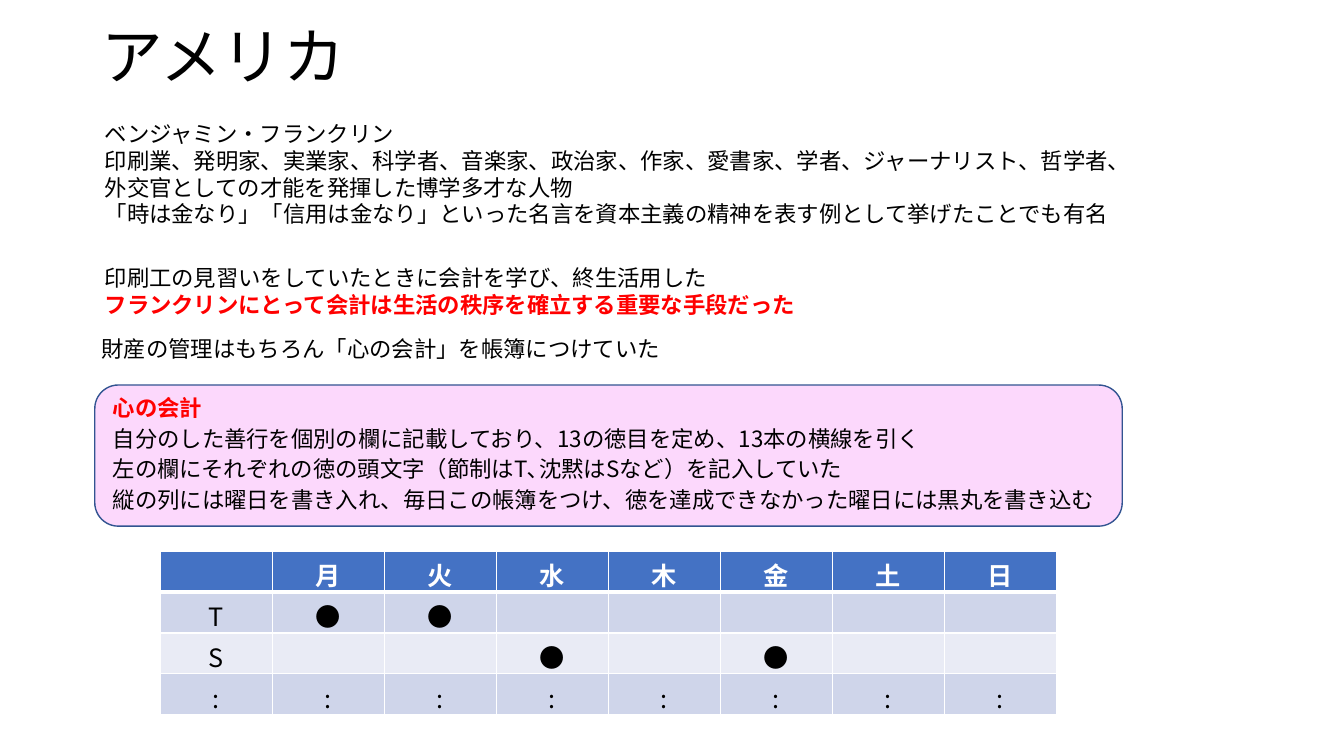
from dataclasses import dataclass

from lxml.etree import SubElement
from pptx import Presentation
from pptx.dml.color import RGBColor
from pptx.enum.shapes import MSO_SHAPE
from pptx.enum.text import MSO_ANCHOR, PP_ALIGN
from pptx.oxml.ns import qn
from pptx.slide import Slide
from pptx.table import _Cell
from pptx.text.text import _Paragraph
from pptx.util import Inches, Length, Pt

FONT = "Noto Sans CJK JP"
COLORS = {
    "text": "000000",
    "accent": "FF0000",
    "white": "FFFFFF",
    "panel": "FCD8FC",
    "panel_line": "325491",
    "header": "4472C4",
    "band_dark": "CFD5EA",
    "band_light": "E9EBF5",
}


@dataclass(frozen=True)
class Line:
    text: str
    color: str = "text"
    bold: bool = False


@dataclass(frozen=True)
class TextBlock:
    left: float
    top: float
    width: float
    height: float
    lines: tuple[Line, ...]
    size: int = 16
    spacing: float | Length | None = None
    anchor: MSO_ANCHOR = MSO_ANCHOR.TOP


TEXT_BLOCKS = (
    TextBlock(0.91, 0.03, 11.49, 1.12, (Line("アメリカ"),),
              size=44, spacing=0.9, anchor=MSO_ANCHOR.MIDDLE),
    TextBlock(0.94, 1.14, 10.45, 1.18, (
        Line("ベンジャミン・フランクリン"),
        Line("印刷業、発明家、実業家、科学者、音楽家、政治家、作家、愛書家、学者、"
             "ジャーナリスト、哲学者、外交官としての才能を発揮した博学多才な人物"),
        Line("「時は金なり」「信用は金なり」といった名言を"
             "資本主義の精神を表す例として挙げたことでも有名"),
    )),
    TextBlock(0.94, 2.57, 10.45, 0.64, (
        Line("印刷工の見習いをしていたときに会計を学び、終生活用した"),
        Line("フランクリンにとって会計は生活の秩序を確立する重要な手段だった",
             "accent", True),
    )),
    TextBlock(0.91, 3.28, 10.45, 0.37, (
        Line("財産の管理はもちろん「心の会計」を帳簿につけていた"),
    )),
    TextBlock(1.02, 3.82, 10.04, 1.34, (
        Line("心の会計", "accent", True),
        Line("自分のした善行を個別の欄に記載しており、13の徳目を定め、13本の横線を引く"),
        Line("左の欄にそれぞれの徳の頭文字（節制はT､沈黙はSなど）を記入していた"),
        Line("縦の列には曜日を書き入れ、毎日この帳簿をつけ、"
             "徳を達成できなかった曜日には黒丸を書き込む"),
    ), spacing=Pt(22)),
)

DAYS = "月火水木金土日"
VIRTUE_MARKS = {"T": "月火", "S": "水金", ":": ""}


def rgb(name: str) -> RGBColor:
    return RGBColor.from_string(COLORS[name])


def write_line(para: _Paragraph, line: Line, size: int) -> None:
    para.text = line.text
    font = para.font
    font.size = Pt(size)
    font.bold = line.bold
    font.color.rgb = rgb(line.color)
    font.name = FONT
    SubElement(font._element, qn("a:ea"), typeface=FONT)


def add_text_block(page: Slide, block: TextBlock) -> None:
    box = page.shapes.add_textbox(Inches(block.left), Inches(block.top),
                                  Inches(block.width), Inches(block.height))
    frame = box.text_frame
    frame.word_wrap = True
    frame.vertical_anchor = block.anchor
    for index, line in enumerate(block.lines):
        para = frame.add_paragraph() if index else frame.paragraphs[0]
        write_line(para, line, block.size)
        para.line_spacing = block.spacing


def add_panel(page: Slide) -> None:
    panel = page.shapes.add_shape(MSO_SHAPE.ROUNDED_RECTANGLE, Inches(0.94),
                                  Inches(3.82), Inches(10.19), Inches(1.4))
    panel.shadow.inherit = False
    panel.fill.solid()
    panel.fill.fore_color.rgb = rgb("panel")
    panel.line.color.rgb = rgb("panel_line")
    panel.line.width = Pt(1)


def add_cell_borders(cell: _Cell, top: int, bottom: int) -> None:
    """Draw white borders; top and bottom are widths in points."""
    properties = cell._tc.get_or_add_tcPr()
    for side, width in (("L", 1), ("R", 1), ("T", top), ("B", bottom)):
        border = SubElement(properties, qn(f"a:ln{side}"), w=str(Pt(width)))
        fill = SubElement(border, qn("a:solidFill"))
        SubElement(fill, qn("a:srgbClr"), val=COLORS["white"])


def ledger_rows() -> list[list[str]]:
    rows = [["", *DAYS]]
    for virtue, marked_days in VIRTUE_MARKS.items():
        blank = ":" if virtue == ":" else ""
        rows.append([virtue, *("●" if day in marked_days else blank for day in DAYS)])
    return rows


def add_ledger(page: Slide) -> None:
    rows = ledger_rows()
    table = page.shapes.add_table(len(rows), len(rows[0]), Inches(1.59), Inches(5.47),
                                  Inches(8.89), Inches(1.62)).table
    fills = ("header", "band_dark", "band_light", "band_dark")
    for row, (texts, fill) in enumerate(zip(rows, fills)):
        header = row == 0
        for column, text in enumerate(texts):
            cell = table.cell(row, column)
            add_cell_borders(cell, top=3 if row == 1 else 1, bottom=3 if header else 1)
            cell.fill.solid()
            cell.fill.fore_color.rgb = rgb(fill)
            para = cell.text_frame.paragraphs[0]
            write_line(para, Line(text, "white" if header else "text", header), 18)
            para.alignment = PP_ALIGN.CENTER


def main() -> None:
    deck = Presentation()
    deck.slide_width, deck.slide_height = Inches(13.33), Inches(7.5)
    page = deck.slides.add_slide(deck.slide_layouts[6])
    add_panel(page)
    for block in TEXT_BLOCKS:
        add_text_block(page, block)
    add_ledger(page)
    deck.save("out.pptx")


if __name__ == "__main__":
    main()
